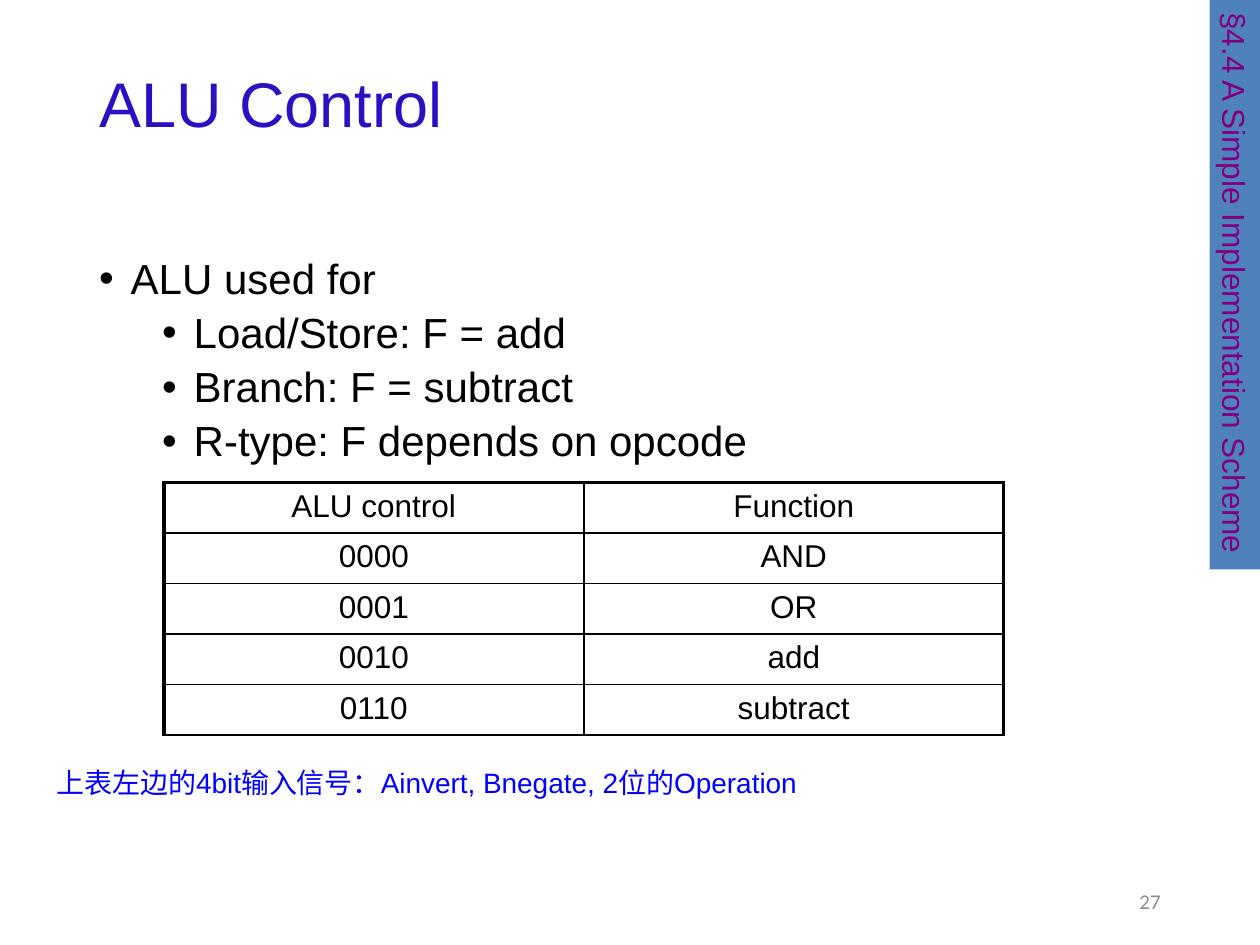
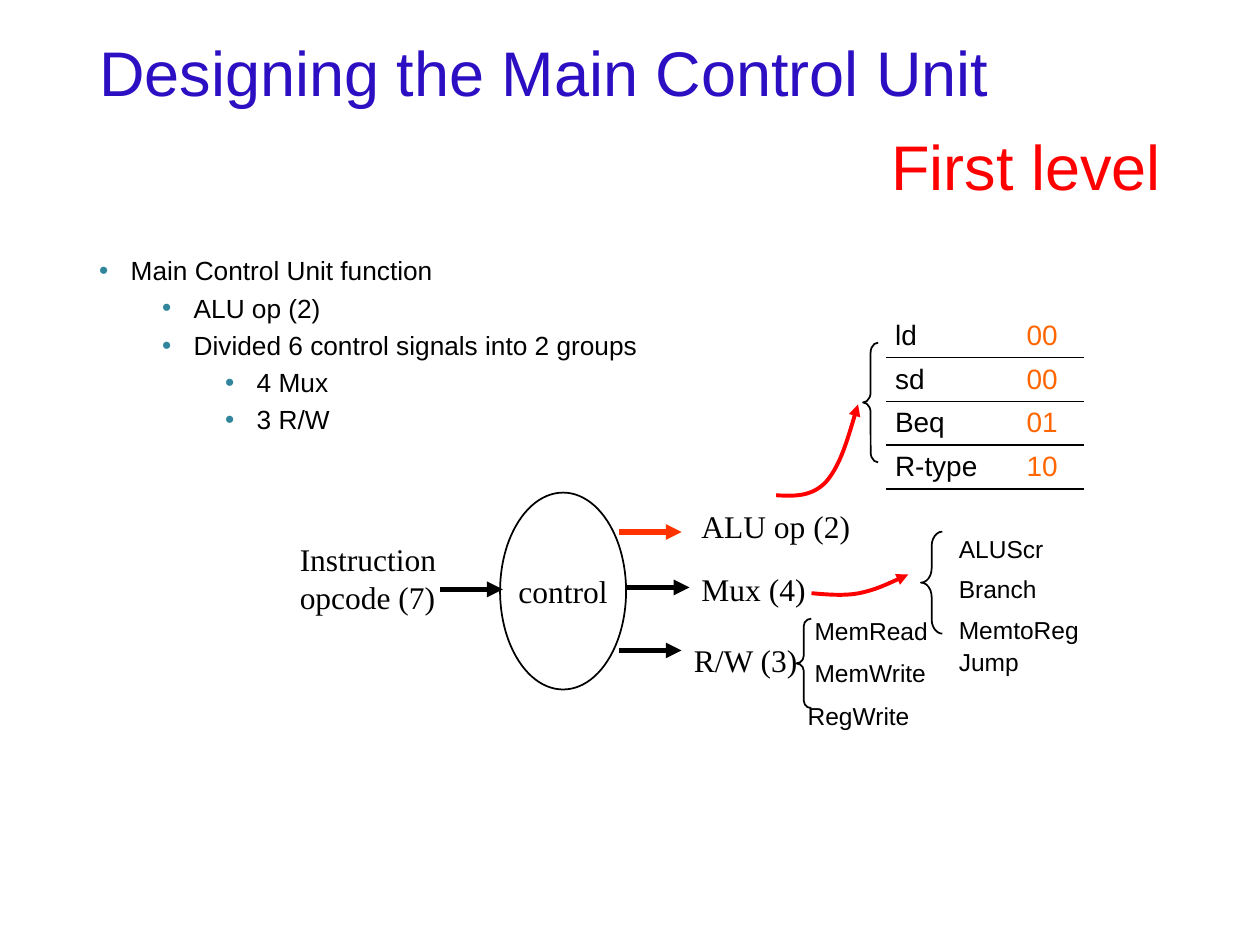
from dataclasses import dataclass

from lxml.etree import SubElement
from pptx import Presentation
from pptx.dml.color import RGBColor
from pptx.enum.shapes import MSO_CONNECTOR, MSO_SHAPE as Preset
from pptx.enum.text import MSO_ANCHOR as Anchor, MSO_AUTO_SIZE as Fit, PP_ALIGN as Align
from pptx.oxml.ns import qn
from pptx.util import Pt


@dataclass(frozen=True)
class Theme:
    # Fonts
    sans: str = "Arial"
    serif: str = "Times New Roman"
    number_font: str = "Calibri"
    # Colours
    ink: str = "000000"
    paper: str = "FFFFFF"
    title: str = "2D0FC3"
    red: str = "FF0000"
    signal: str = "FF3300"
    code: str = "FF6600"
    note: str = "0000FF"
    band: str = "4F81BD"
    band_text: str = "800080"
    bullet: str = "31859C"
    number: str = "8C8C8C"
    # Type sizes
    title_size: float = 36
    list_size: float = 24
    small_list_size: float = 15
    label_size: float = 18
    note_size: float = 16
    signal_size: float = 14
    number_size: float = 12
    # Line widths
    thin: float = 1
    header: float = 1.5
    curve: float = 2.25
    frame: float = 2.25
    arrow: float = 3


THIN_MARGINS = (5, 2.9)
WIDE_MARGINS = (7.2, 3.6)


class Deck:
    def __init__(self, theme):
        self.theme = theme
        self.prs = Presentation()
        self.prs.slide_width, self.prs.slide_height = Pt(720), Pt(540)
        self.slide = None

    def new_slide(self):
        self.slide = self.prs.slides.add_slide(self.prs.slide_layouts[1])

    # Shared helpers
    @staticmethod
    def place(shape, box):
        shape.left, shape.top, shape.width, shape.height = map(Pt, box)

    def styled_run(self, paragraph, text, size, color=None, font=None):
        run = paragraph.add_run()
        run.text = text
        run.font.size = Pt(size)
        run.font.name = font or self.theme.sans
        run.font.color.rgb = RGBColor.from_string(color or self.theme.ink)

    @staticmethod
    def stroke(line, color, width):
        line.color.rgb = RGBColor.from_string(color)
        line.width = Pt(width)

    @staticmethod
    def arrowhead(shape):
        ln = shape._element.spPr.find(qn("a:ln"))
        SubElement(ln, qn("a:tailEnd"), type="triangle")

    # Placeholders
    def title(self, height, lines, spacing):
        shape = self.slide.shapes.title
        self.place(shape, (49.5, 28.8, 621, height))
        frame = shape.text_frame
        frame.auto_size, frame.vertical_anchor = Fit.NONE, Anchor.MIDDLE
        for i, (text, color, align) in enumerate(lines):
            p = frame.add_paragraph() if i else frame.paragraphs[0]
            p.alignment, p.line_spacing = align, spacing
            p.space_before = spacing if i else Pt(0)
            self.styled_run(p, text, self.theme.title_size, color)

    def bullets(self, items, size, bullet_color):
        shape = self.slide.placeholders[1]
        self.place(shape, (49.5, 144, 621, 342.9))
        frame = shape.text_frame
        frame.auto_size = Fit.NONE
        for i, (level, text) in enumerate(items):
            p = frame.add_paragraph() if i else frame.paragraphs[0]
            p.level, p.line_spacing = level, 0.9
            p.space_before = Pt(5 if i else 0)
            props = p._p.get_or_add_pPr()
            props.set("marL", str(Pt(18 + 36 * level)))
            props.set("indent", str(Pt(-18)))
            SubElement(SubElement(props, qn("a:buClr")), qn("a:srgbClr"), val=bullet_color)
            SubElement(props, qn("a:buFont"), typeface=self.theme.sans)
            SubElement(props, qn("a:buChar"), char="•")
            self.styled_run(p, text, size)

    # Text and shapes
    def label(self, box, text, size, color=None, font=None, align=Align.LEFT, anchor=Anchor.TOP):
        shape = self.slide.shapes.add_textbox(*map(Pt, box))
        frame = shape.text_frame
        frame.word_wrap, frame.vertical_anchor = True, anchor
        frame.paragraphs[0].alignment = align
        self.styled_run(frame.paragraphs[0], text, size, color, font)

    def shape(self, preset, box, fill=None, line=None):
        shape = self.slide.shapes.add_shape(preset, *map(Pt, box))
        shape.shadow.inherit = False
        if fill:
            shape.fill.solid()
            shape.fill.fore_color.rgb = RGBColor.from_string(fill)
        else:
            shape.fill.background()
        if line:
            self.stroke(shape.line, line, self.theme.thin)
        else:
            shape.line.fill.background()
        return shape

    def caption(self, shape, text, color, font, align, anchor):
        frame = shape.text_frame
        frame.word_wrap, frame.vertical_anchor = False, anchor
        frame.paragraphs[0].alignment = align
        self.styled_run(frame.paragraphs[0], text, self.theme.label_size, color, font)

    def section_band(self, text):
        band = self.shape(Preset.RECTANGLE, (542.9, 148.3, 325.4, 28.8), self.theme.band)
        band.rotation = 90
        self.caption(band, text, self.theme.band_text, self.theme.sans, Align.LEFT, Anchor.TOP)

    def page_number(self, text):
        self.label((508.3, 500.4, 162, 28.8), text, self.theme.number_size, self.theme.number,
                   self.theme.number_font, Align.RIGHT, Anchor.MIDDLE)

    def brace(self, box, curl):
        brace = self.shape(Preset.LEFT_BRACE, box, line=self.theme.ink)
        brace.adjustments[0] = curl

    # Arrows
    def arrow(self, x, y, color):
        line = self.slide.shapes.add_connector(
            MSO_CONNECTOR.STRAIGHT, Pt(x), Pt(y), Pt(x + 36), Pt(y))
        self.stroke(line.line, color, self.theme.arrow)
        self.arrowhead(line)
        SubElement(line._element.spPr, qn("a:effectLst"))

    def curved_arrow(self, start, *controls):
        """Draw Bezier curves; each three control points make one segment."""
        builder = self.slide.shapes.build_freeform(*map(Pt, start))
        builder.add_line_segments([(Pt(x), Pt(y)) for x, y in controls], close=False)
        shape = builder.convert_to_shape()
        outline = next(shape._element.iter(qn("a:path")))
        steps = outline.findall(qn("a:lnTo"))
        for i in range(0, len(steps), 3):
            curve = SubElement(outline, qn("a:cubicBezTo"))
            for step in steps[i:i + 3]:
                curve.append(step[0])
                outline.remove(step)
        shape.shadow.inherit = False
        shape.fill.background()
        self.stroke(shape.line, self.theme.red, self.theme.curve)
        self.arrowhead(shape)

    # Tables
    def borders(self, cell, widths):
        props = cell._tc.get_or_add_tcPr()
        for i, (side, width) in enumerate(zip("LRTB", widths)):
            ln = SubElement(props, qn(f"a:ln{side}"), w=str(Pt(width)))
            props.insert(i, ln)
            if width:
                SubElement(SubElement(ln, qn("a:solidFill")), qn("a:srgbClr"), val=self.theme.ink)
            else:
                SubElement(ln, qn("a:noFill"))

    def table(self, corner, widths, heights, rows, size, edges, margins=THIN_MARGINS,
              align=Align.LEFT, anchor=Anchor.MIDDLE, colors=(None, None), indents=()):
        """edges(row, column) gives the left, right, top and bottom border widths."""
        table = self.slide.shapes.add_table(
            len(rows), len(widths), *map(Pt, (*corner, sum(widths), sum(heights)))).table
        table.first_row = table.horz_banding = False
        for column, width in zip(table.columns, widths):
            column.width = Pt(width)
        for r, (row, height) in enumerate(zip(rows, heights)):
            table.rows[r].height = Pt(height)
            for c, lines in enumerate(row):
                cell = table.cell(r, c)
                cell.fill.background()
                cell.vertical_anchor = anchor
                cell.margin_left = Pt(margins[0] + (indents[r] if indents else 0))
                cell.margin_right = Pt(margins[0])
                cell.margin_top = cell.margin_bottom = Pt(margins[1])
                for i, text in enumerate(lines.split("\n")):
                    frame = cell.text_frame
                    p = frame.add_paragraph() if i else frame.paragraphs[0]
                    p.alignment = align
                    if i:
                        p.space_before = Pt(0.2 * size)
                    self.styled_run(p, text, size, colors[c])
                self.borders(cell, edges(r, c))


def no_edges(row, column):
    return 0, 0, 0, 0


def alu_control(deck):
    t = deck.theme
    deck.new_slide()
    deck.title(65.3, [("ALU Control", t.title, Align.LEFT)], 0.9)
    deck.bullets([(0, "ALU used for"), (1, "Load/Store: F = add"), (1, "Branch: F = subtract"),
                  (1, "R-type: F depends on opcode")], t.list_size, t.ink)
    deck.page_number("27")
    deck.section_band("§4.4 A Simple Implementation Scheme")

    # Control codes and their functions
    def framed(row, column):
        left, right = (t.frame, t.thin) if column == 0 else (t.thin, t.frame)
        top = {0: t.frame, 1: t.header}.get(row, t.thin)
        return left, right, top, t.thin if row else t.header

    functions = [("ALU control", "Function"), ("0000", "AND"), ("0001", "OR"),
                 ("0010", "add"), ("0110", "subtract")]
    deck.table((93.6, 275.8), [240] * 2, [28.8] * 5, functions, t.label_size, framed,
               WIDE_MARGINS, Align.CENTER, Anchor.TOP)
    deck.label((25.2, 434.2, 635, 26.6),
               "上表左边的4bit输入信号：Ainvert, Bnegate, 2位的Operation", t.note_size, t.note)


def main_control_unit(deck):
    t = deck.theme
    deck.new_slide()
    deck.title(93.6, [("Designing the Main Control Unit", t.title, Align.LEFT),
                      ("First level", t.red, Align.RIGHT)], Pt(27))
    deck.bullets([(0, "Main Control Unit function"), (1, "ALU op (2)"),
                  (1, "Divided 6 control signals into 2 groups"), (2, "4 Mux"), (2, "3 R/W")],
                 t.small_list_size, t.bullet)

    # Control block with its input and outputs
    control = deck.shape(Preset.OVAL, (285.8, 281.5, 72, 112.5), t.paper, t.ink)
    deck.caption(control, "control", t.ink, t.serif, Align.CENTER, Anchor.MIDDLE)
    for x, y, color in [(251.3, 336.8, t.ink), (353.5, 304, t.signal),
                        (358, 335.7, t.ink), (353.5, 371.7, t.ink)]:
        deck.arrow(x, y, color)
    for box, text in [((164.2, 305.3, 99.4, 51), "Instruction opcode (7)"),
                      ((393.8, 286, 108, 28.8), "ALU op (2)"),
                      ((393.8, 322, 108, 28.8), "Mux (4)"),
                      ((389.5, 363, 108, 28.8), "R/W (3)")]:
        deck.label(box, text, t.label_size, font=t.serif)

    # Signals of each group
    deck.table((542.9, 275.8), [118], [20.2, 22.3, 22.3, 41.8],
               [("",), ("ALUScr",), ("Branch",), ("MemtoReg\nJump",)], t.signal_size, no_edges)
    deck.table((456.5, 349.2), [86.4], [23.8, 23.8, 26],
               [("MemRead",), ("MemWrite",), ("RegWrite",)], t.signal_size, no_edges,
               indents=(4, 4, 0))

    # ALU op codes by instruction
    def ruled(row, column):
        return 0, 0, t.thin if row else 0, t.thin

    deck.table((506.5, 179.3), [75.2, 38], [24.6] * 4,
               [("ld", "00"), ("sd", "00"), ("Beq", "01"), ("R-type", "10")],
               t.note_size, ruled, colors=(t.ink, t.code))

    # Braces and curved pointers
    deck.brace((455, 353.5, 8.6, 51.1), 0.5)
    deck.brace((526.3, 303.8, 12.2, 58.3), 0.67)
    deck.brace((493.2, 195.8, 8.6, 68.4), 0.67)
    deck.curved_arrow((463.7, 339), (473, 339.8), (482.4, 340.6), (491, 339),
                      (500.4, 337), (509.8, 332.6), (519, 328.3))
    deck.curved_arrow((443.5, 283), (454.3, 283.7), (464.4, 283.7), (472.3, 275),
                      (480.2, 265.7), (485.3, 247.7), (490.3, 231.1))


def main():
    deck = Deck(Theme())
    alu_control(deck)
    main_control_unit(deck)
    deck.prs.save("out.pptx")


if __name__ == "__main__":
    main()
